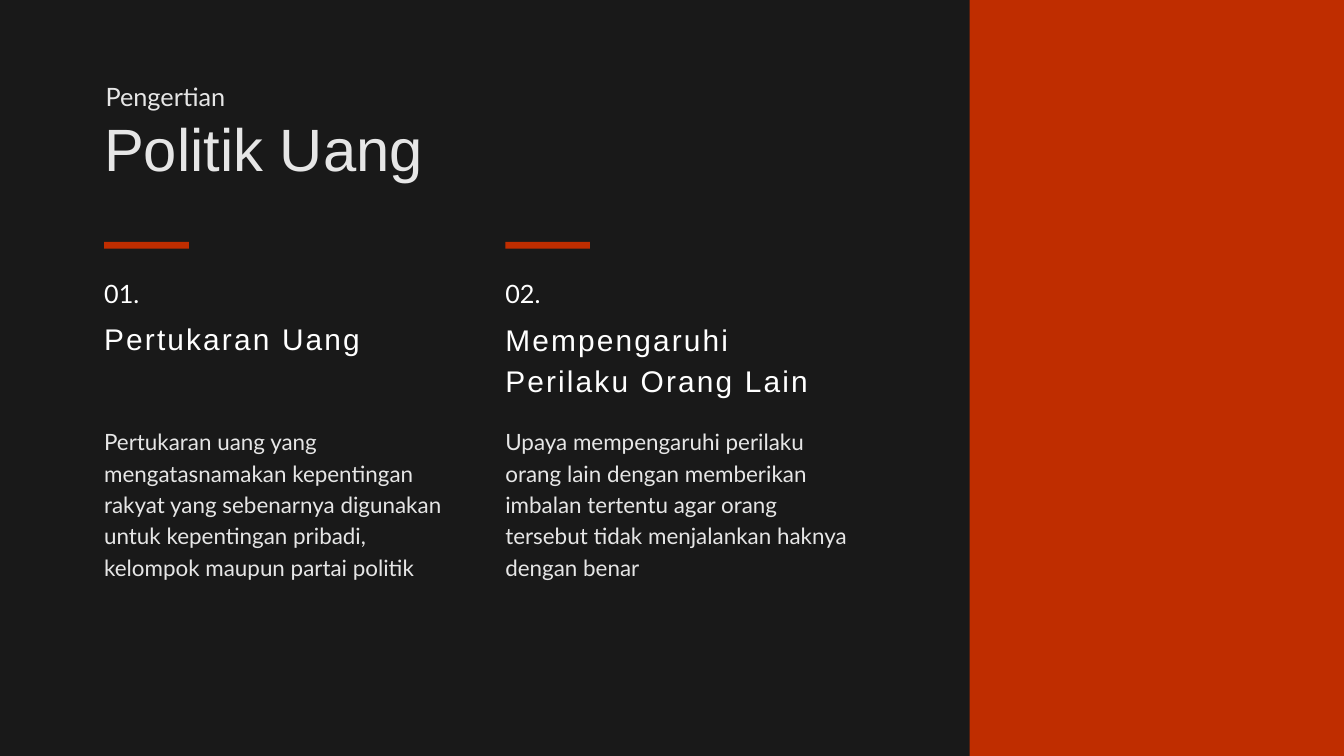
"""Build the slide that defines money politics in two numbered columns."""
from pptx import Presentation
from pptx.dml.color import RGBColor
from pptx.enum.shapes import MSO_SHAPE as Shape
from pptx.enum.text import MSO_ANCHOR as Anchor, MSO_AUTO_SIZE as AutoSize, PP_ALIGN as Align
from pptx.util import Inches, Pt

COLORS = {"background": "191919", "accent": "BF2D00", "soft": "E6E6E6", "white": "FFFFFF"}
LEFT = 1.55
COLUMN_STEP = 5.97
COLUMN_WIDTH = 5.14
COLUMNS = [
    ("01.", "Pertukaran Uang", 0.6,
     "Pertukaran uang yang mengatasnamakan kepentingan rakyat yang sebenarnya digunakan "
     "untuk kepentingan pribadi, kelompok maupun partai politik", 2.74),
    ("02.", "Mempengaruhi Perilaku Orang Lain", 1.21,
     "Upaya mempengaruhi perilaku orang lain dengan memberikan imbalan tertentu agar orang "
     "tersebut tidak menjalankan haknya dengan benar", 2.28),
]


class SlideBuilder:
    def __init__(self, slide):
        self.slide = slide
        fill = slide.background.fill
        fill.solid()
        fill.fore_color.rgb = self.color("background")

    def color(self, name):
        return RGBColor.from_string(COLORS[name])

    def bar(self, left, top, width, height):
        shape = self.slide.shapes.add_shape(
            Shape.RECTANGLE, Inches(left), Inches(top), Inches(width), Inches(height))
        shape.shadow.inherit = False
        shape.fill.solid()
        shape.fill.fore_color.rgb = self.color("accent")
        shape.line.fill.background()

    def fill_text(self, shape, text, size, line, color="soft", font="Lato", tracking=0):
        frame = shape.text_frame
        frame.word_wrap = True
        frame.auto_size = AutoSize.NONE
        frame.vertical_anchor = Anchor.TOP
        frame.margin_left = frame.margin_top = frame.margin_right = frame.margin_bottom = 0
        paragraph = frame.paragraphs[0]
        paragraph.alignment = Align.LEFT
        paragraph.line_spacing = Pt(line)
        paragraph.space_before = Pt(0)
        paragraph.font.name = font
        paragraph.font.size = Pt(size)
        paragraph.font.color.rgb = self.color(color)
        run = paragraph.add_run()
        run.text = text
        if tracking:
            run._r.get_or_add_rPr().set("spc", str(round(tracking * 100)))

    def title(self, left, top, width, height, text, size, line, **style):
        shape = self.slide.shapes.title
        shape.left, shape.top = Inches(left), Inches(top)
        shape.width, shape.height = Inches(width), Inches(height)
        self.fill_text(shape, text, size, line, **style)

    def text(self, left, top, width, height, text, size, line, **style):
        shape = self.slide.shapes.add_textbox(
            Inches(left), Inches(top), Inches(width), Inches(height))
        self.fill_text(shape, text, size, line, **style)


def main():
    presentation = Presentation()
    presentation.slide_width = Inches(20)
    presentation.slide_height = Inches(11.25)
    builder = SlideBuilder(presentation.slides.add_slide(presentation.slide_layouts[5]))

    builder.title(LEFT, 1.66, 5.45, 1.06, "Politik Uang", 64, 76.8, font="Arial")
    builder.text(1.57, 1.21, 2.01, 0.45, "Pengertian", 27.1, 32.5)
    for index, (number, heading, heading_height, body, body_height) in enumerate(COLUMNS):
        left = LEFT + index * COLUMN_STEP
        builder.bar(left, 3.6, 1.26, 0.1)
        builder.text(left, 4.07, 1.58, 0.5, number, 27, 37.8, color="white")
        builder.text(left, 4.69, COLUMN_WIDTH, heading_height, heading, 32, 44.8,
                     color="white", font="Arial", tracking=2.3)
        builder.text(left, 6.31, COLUMN_WIDTH, body_height, body, 24, 33.6)
    builder.bar(14.43, 0, 5.57, 11.25)

    presentation.save("out.pptx")


if __name__ == "__main__":
    main()
